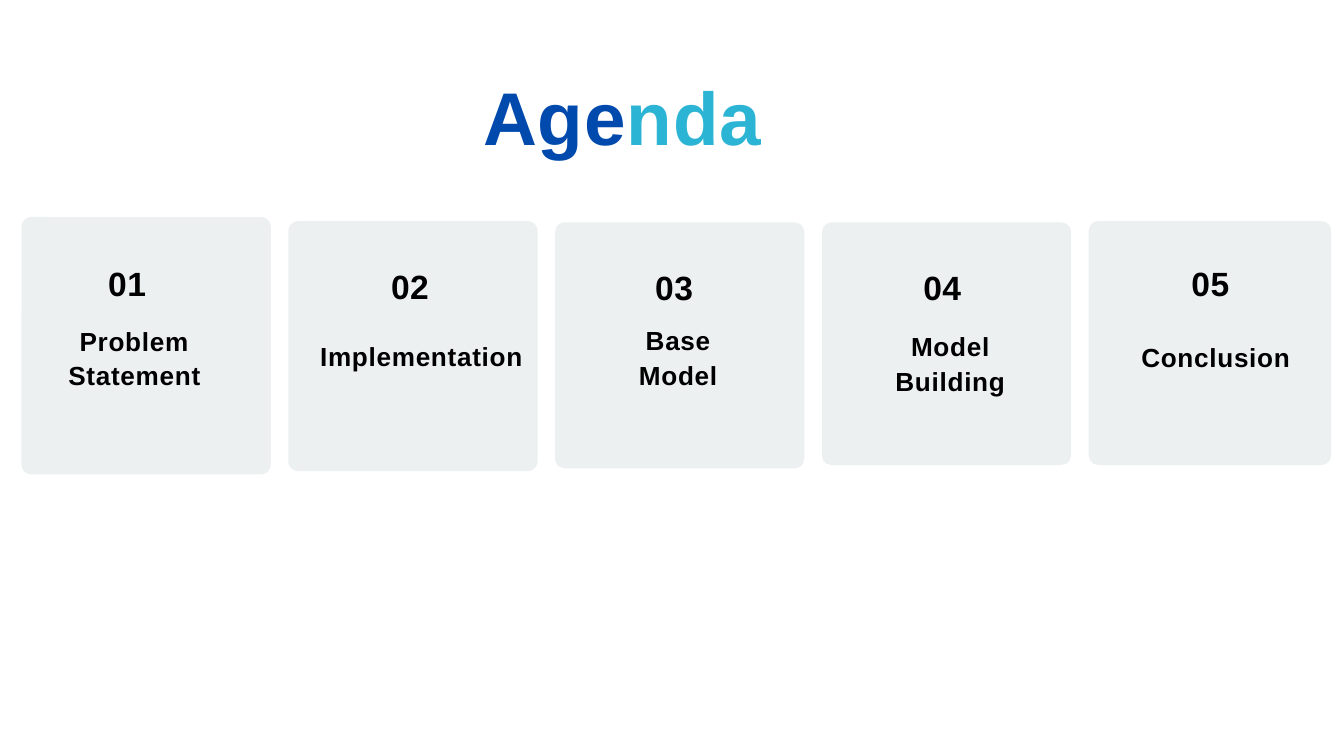
from pptx import Presentation
from pptx.dml.color import RGBColor
from pptx.enum.shapes import MSO_SHAPE
from pptx.enum.text import MSO_ANCHOR, MSO_AUTO_SIZE, PP_ALIGN
from pptx.util import Inches, Pt

COLUMNS, ROWS = 20, 11.25
CARD_LEFT, CARD_PITCH = 0.32, 3.97
LABEL_WIDTH = 3.57

CARDS = [
    # top, width, height, number left, number top, label centre, label top, lines
]
CARDS = [
    {"card": (3.23, 3.71, 3.83), "number": (1.61, 3.9), "label": (2, 4.79, 0.99), "lines": ["Problem Statement"]},
    {"card": (3.29, 3.71, 3.72), "number": (5.82, 3.94), "label": (6.27, 5.02, 0.49), "lines": ["Implementation"]},
    {"card": (3.31, 3.71, 3.66), "number": (9.75, 3.96), "label": (10.09, 4.78, 1.01), "lines": ["Base", "Model"]},
    {"card": (3.31, 3.71, 3.61), "number": (13.74, 3.96), "label": (14.14, 4.87, 1.01), "lines": ["Model", "Building"]},
    {"card": (3.29, 3.61, 3.63), "number": (17.73, 3.91), "label": (18.09, 5.03, 0.49), "lines": ["Conclusion"]},
]


def color(value):
    return RGBColor.from_string(value)


class AgendaPage:
    font = "Arial"
    ink = "000000"
    navy = "004AAD"
    teal = "2BB4D4"
    panel = "ECF0F1"

    def __init__(self, deck):
        self.column = deck.slide_width / COLUMNS
        self.row = deck.slide_height / ROWS
        self.page = deck.slides.add_slide(deck.slide_layouts[5])

    def area(self, left, top, width, height):
        return (round(left * self.column), round(top * self.row),
                round(width * self.column), round(height * self.row))

    def frame(self, box, wrap=True):
        frame = box.text_frame
        frame.margin_left = frame.margin_right = frame.margin_bottom = 0
        frame.margin_top = Inches(0.01)
        frame.vertical_anchor = MSO_ANCHOR.TOP
        frame.word_wrap = wrap
        frame.auto_size = MSO_AUTO_SIZE.SHAPE_TO_FIT_TEXT
        return frame

    def paragraph(self, para, spans, size, tracking, align=PP_ALIGN.LEFT, line=1.0):
        para.alignment = align
        para.line_spacing = line
        para.space_before = Pt(1)
        for text, value in spans:
            span = para.add_run()
            span.text = text
            span.font.name = self.font
            span.font.size = Pt(size)
            span.font.bold = True
            span.font.color.rgb = color(value)
            span.font._element.set("spc", str(round(tracking * 100)))

    def title(self, spans, *place):
        box = self.page.shapes.title
        box.left, box.top, box.width, box.height = self.area(*place)
        self.paragraph(self.frame(box).paragraphs[0], spans, 80, 0.9)

    def card(self, *place):
        box = self.page.shapes.add_shape(MSO_SHAPE.ROUNDED_RECTANGLE, *self.area(*place))
        box.adjustments[0] = 0.04
        box.shadow.inherit = False
        box.fill.solid()
        box.fill.fore_color.rgb = color(self.panel)
        box.line.fill.background()

    def number(self, text, left, top):
        box = self.page.shapes.add_textbox(*self.area(left, top, 0.6, 0.63))
        self.paragraph(self.frame(box).paragraphs[0], [(text, self.ink)], 36, 0.5)

    def label(self, lines, center, top, height):
        place = self.area(center - LABEL_WIDTH / 2, top, LABEL_WIDTH, height)
        frame = self.frame(self.page.shapes.add_textbox(*place))
        for index, text in enumerate(lines):
            para = frame.add_paragraph() if index else frame.paragraphs[0]
            self.paragraph(para, [(text, self.ink)], 28, 0.8, PP_ALIGN.CENTER, 1.08)


def main():
    deck = Presentation()
    deck.slide_width, deck.slide_height = Inches(20), Inches(11.25)
    agenda = AgendaPage(deck)
    agenda.title([("Age", agenda.navy), ("nda", agenda.teal)], 7.19, 1.04, 4.25, 1.36)
    for index, item in enumerate(CARDS):
        top, width, height = item["card"]
        agenda.card(CARD_LEFT + index * CARD_PITCH, top, width, height)
        agenda.number(f"{index + 1:02d}", *item["number"])
        agenda.label(item["lines"], *item["label"])
    deck.save("out.pptx")


if __name__ == "__main__":
    main()
